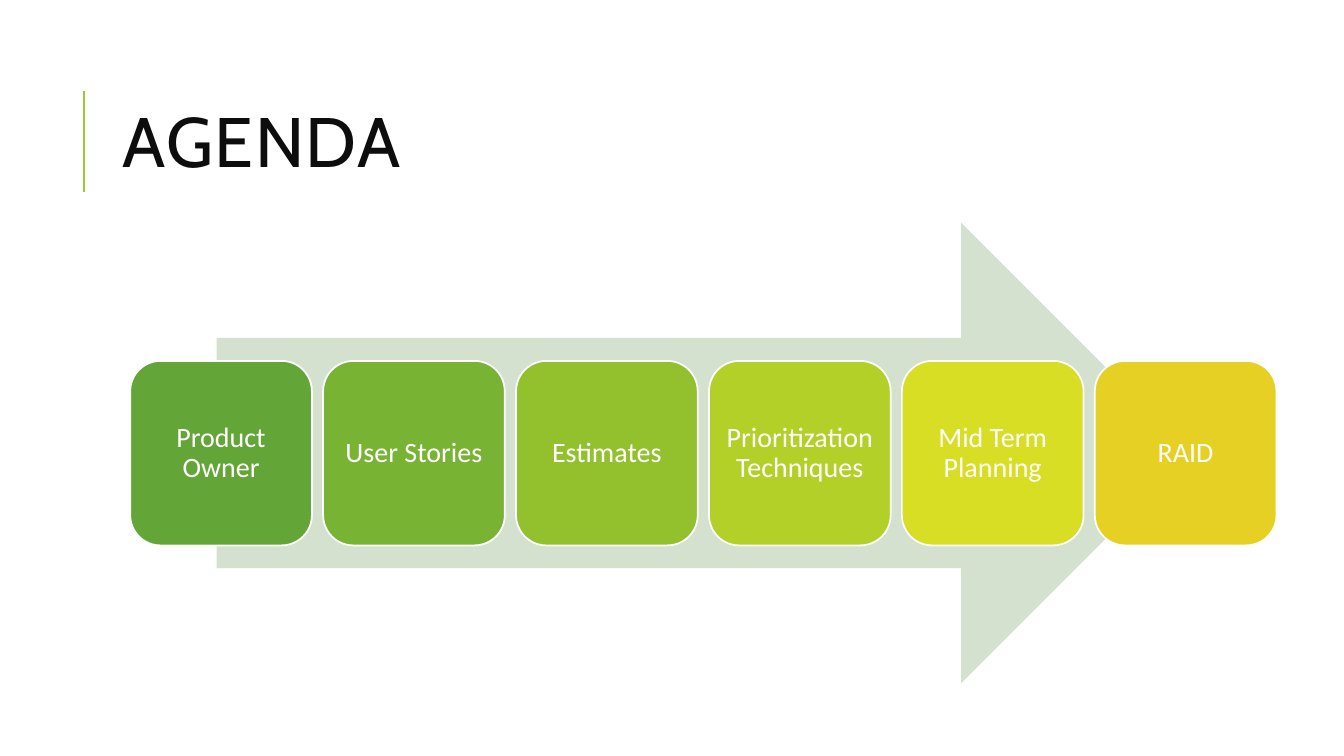
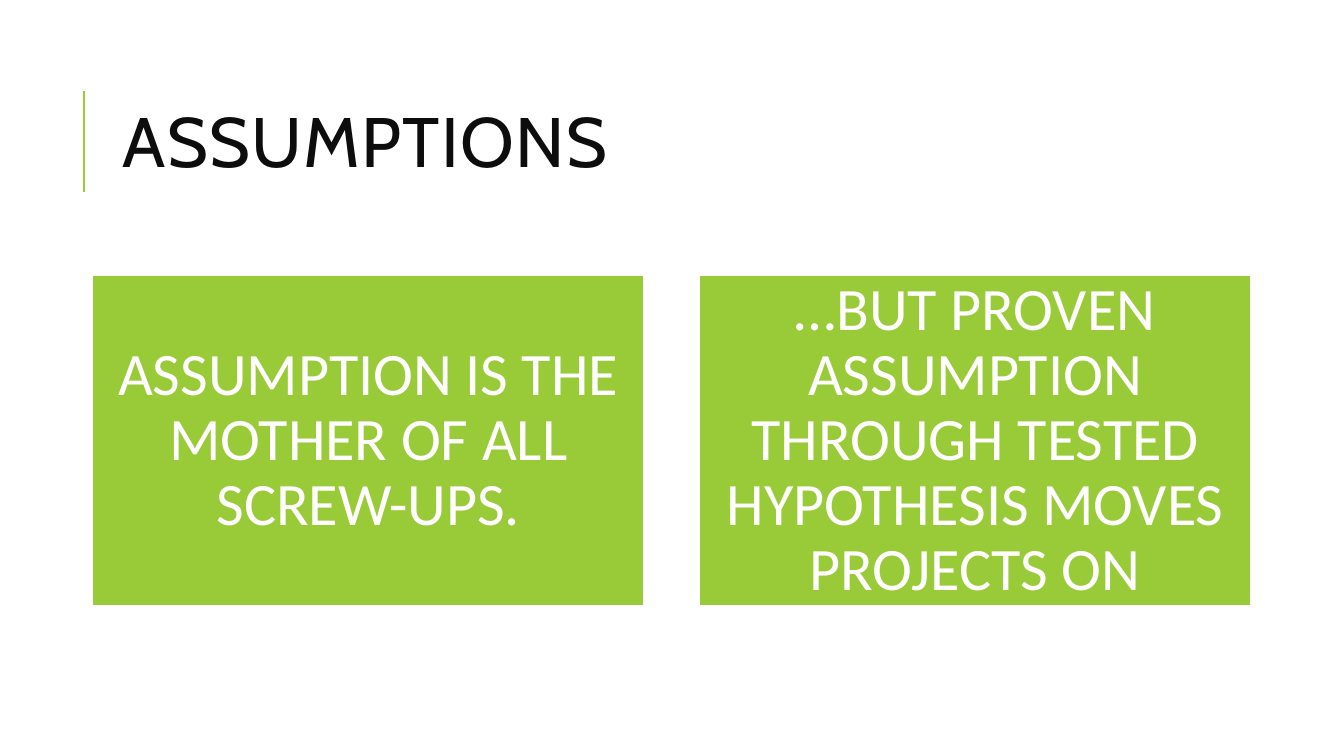
from pptx import Presentation
from pptx.dml.color import RGBColor
from pptx.enum.shapes import MSO_CONNECTOR, MSO_SHAPE
from pptx.enum.text import MSO_ANCHOR, MSO_AUTO_SIZE, PP_ALIGN
from pptx.oxml.ns import qn
from pptx.util import Pt
from lxml import etree

STRAIGHT = MSO_CONNECTOR.STRAIGHT
ARROW = MSO_SHAPE.RIGHT_ARROW
RECTANGLE = MSO_SHAPE.RECTANGLE
ROUNDED = MSO_SHAPE.ROUNDED_RECTANGLE
MIDDLE = MSO_ANCHOR.MIDDLE
NO_FIT = MSO_AUTO_SIZE.NONE
LEFT = PP_ALIGN.LEFT
CENTER = PP_ALIGN.CENTER

WHITE = RGBColor(0xFF, 0xFF, 0xFF)
INK = RGBColor(0x0D, 0x0D, 0x0D)
LIME = RGBColor(0x99, 0xCB, 0x38)
PALE_GREEN = RGBColor(0xD3, 0xE1, 0xCE)
GREEN = RGBColor(0x63, 0xA5, 0x37)
LEAF = RGBColor(0x78, 0xB3, 0x33)
OLIVE = RGBColor(0x93, 0xC1, 0x2E)
CHARTREUSE = RGBColor(0xB3, 0xD0, 0x28)
YELLOW_GREEN = RGBColor(0xD8, 0xDE, 0x23)
GOLD = RGBColor(0xE6, 0xD0, 0x24)

TITLE_FRAME = {"left": Pt(80.6), "top": Pt(46), "width": Pt(765.4), "height": Pt(118)}
TITLE_FONT = {"name": "Cabin", "size": Pt(50), "bold": False}

deck = Presentation()
deck.slide_width = Pt(960)
deck.slide_height = Pt(540)


def add_page(heading):
    page = deck.slides.add_slide(deck.slide_layouts[5])
    rule = page.shapes.add_connector(STRAIGHT, Pt(60), Pt(136.8), Pt(60), Pt(64.8))
    rule.line.color.rgb = LIME
    rule.line.width = Pt(1.5)
    etree.SubElement(rule._element.spPr, qn("a:effectLst"))

    title = page.shapes.title
    for name, value in TITLE_FRAME.items():
        setattr(title, name, value)
    title.text_frame.auto_size = NO_FIT
    title.text_frame.vertical_anchor = MIDDLE
    para = title.text_frame.paragraphs[0]
    para.alignment = LEFT
    para.line_spacing = 0.8
    span = para.add_run()
    span.text = heading
    for name, value in TITLE_FONT.items():
        setattr(span.font, name, value)
    span.font.color.rgb = INK
    span.font._element.set("spc", "100")
    return page


def add_block(page, kind, frame, fill, text="", size=20, inset=6):
    box = page.shapes.add_shape(kind, *[Pt(length) for length in frame])
    box.shadow.inherit = False
    box.fill.solid()
    box.fill.fore_color.rgb = fill
    if not text:
        box.line.fill.background()
        return
    box.line.color.rgb = WHITE
    box.line.width = Pt(1.25)
    words = box.text_frame
    words.word_wrap = True
    words.vertical_anchor = MIDDLE
    for side in ("left", "top", "right", "bottom"):
        setattr(words, f"margin_{side}", Pt(inset))
    para = words.paragraphs[0]
    para.alignment = CENTER
    para.line_spacing = 0.9
    span = para.add_run()
    span.text = text
    for name, value in {"name": "Calibri", "size": Pt(size)}.items():
        setattr(span.font, name, value)
    span.font.color.rgb = WHITE


agenda = add_page("AGENDA")
add_block(agenda, ARROW, (154.8, 159.1, 696.2, 329), PALE_GREEN)
topics = [
    ("Product Owner", GREEN),
    ("User Stories", LEAF),
    ("Estimates", OLIVE),
    ("Prioritization Techniques", CHARTREUSE),
    ("Mid Term Planning", YELLOW_GREEN),
    ("RAID", GOLD),
]
for index, (topic, color) in enumerate(topics):
    frame = (93 + 137.8 * index, 257.8, 129.8, 131.8)
    add_block(agenda, ROUNDED, frame, color, topic)

assumptions = add_page("ASSUMPTIONS")
statements = [
    "ASSUMPTION IS THE MOTHER OF ALL SCREW-UPS.",
    "…BUT PROVEN ASSUMPTION THROUGH TESTED HYPOTHESIS MOVES PROJECTS ON",
]
for index, statement in enumerate(statements):
    frame = (66.2 + 433.4 * index, 196.6, 393.8, 236.2)
    add_block(assumptions, RECTANGLE, frame, LIME, statement, size=43, inset=13)

deck.save("out.pptx")
